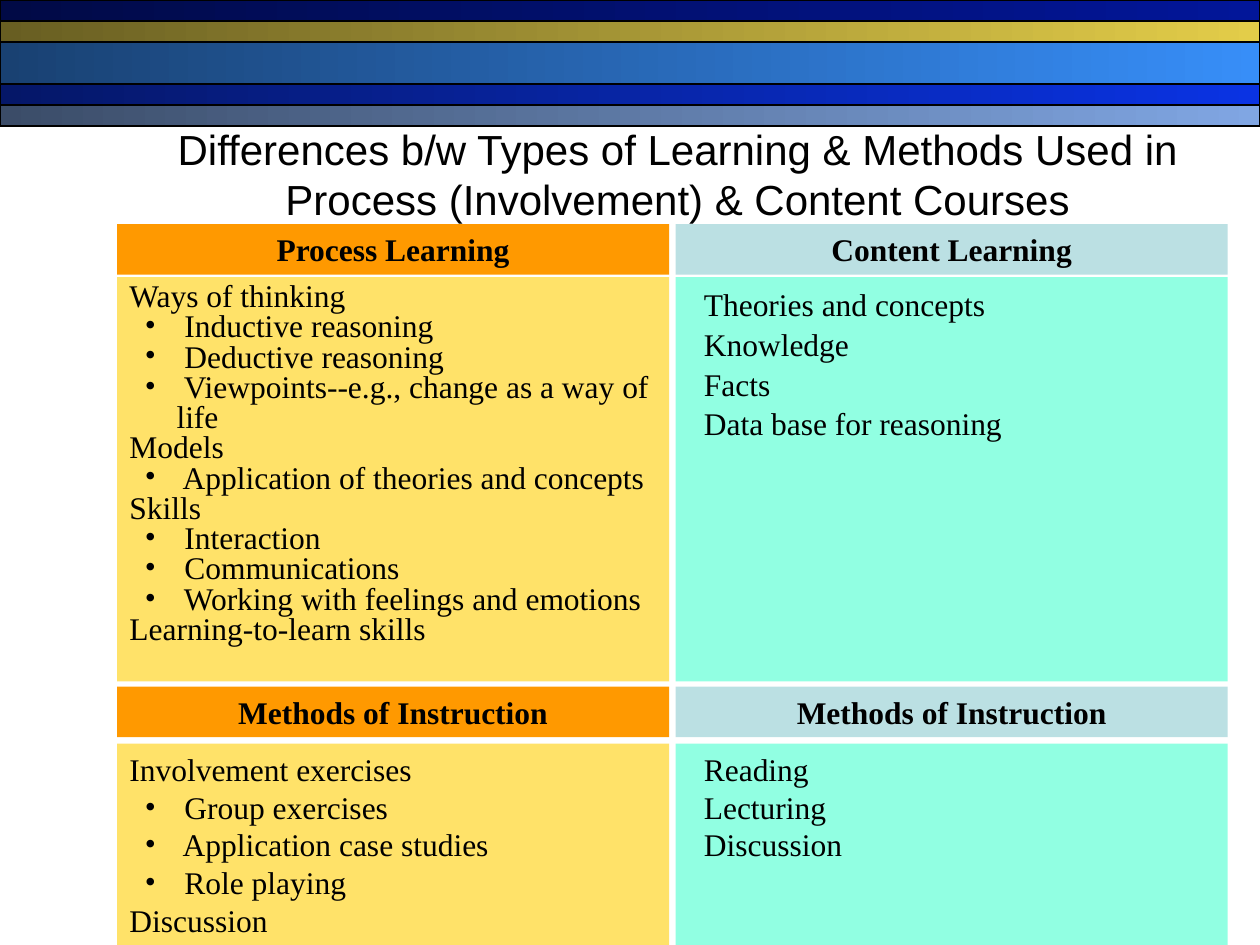
from lxml.etree import SubElement
from pptx import Presentation
from pptx.dml.color import RGBColor
from pptx.enum.shapes import MSO_SHAPE
from pptx.enum.text import MSO_ANCHOR, PP_ALIGN
from pptx.oxml.ns import qn
from pptx.util import Cm, Pt

# Content
TITLE = ("Differences b/w Types of Learning & Methods Used in "
         "Process (Involvement) & Content Courses")
# Bands: start colour, end colour, height in units
BANDS = [("010A46", "021699", 1), ("685E22", "E3CD49", 1),
         ("194172", "378EF8", 2), ("051768", "0A33E3", 1),
         ("3B4C68", "80A6E3", 1)]
# Outlines: (heading, points below it)
WAYS = [("Ways of thinking", ["Inductive reasoning", "Deductive reasoning",
                              "Viewpoints--e.g., change as a way of life"]),
        ("Models", ["Application of theories and concepts"]),
        ("Skills", ["Interaction", "Communications",
                    "Working with feelings and emotions"]),
        ("Learning-to-learn skills", [])]
DRILLS = [("Involvement exercises", ["Group exercises",
                                     "Application case studies",
                                     "Role playing"]),
          ("Discussion", [])]
FACTS = ["Theories and concepts", "Knowledge", "Facts",
         "Data base for reasoning"]
TALKS = ["Reading", "Lecturing", "Discussion"]
# Rows: heads, head top, body top, body height, outline, list, line spacings
ROWS = [(("Process Learning", "Content Learning"),
         4.52, 5.59, 8.15, WAYS, FACTS, 0.8, 1.05),
        (("Methods of Instruction", "Methods of Instruction"),
         13.84, 14.99, 4.06, DRILLS, TALKS, 1.0, 1.0)]
# Columns: left, head fill, body fill
COLS = [(2.36, "FF9900", "FFE269"), (13.62, "BBE0E3", "91FFE2")]
WIDE, HEAD, UNIT = 11.13, 1.02, 2.54 / 6
SERIF = "Times New Roman"

deck = Presentation()
deck.slide_width, deck.slide_height = Cm(25.4), Cm(19.05)
slide = deck.slides.add_slide(deck.slide_layouts[6])


def tint(code):
    return RGBColor.from_string(code)


def rect(x, y, w, h, fill=None):
    box = slide.shapes.add_shape(MSO_SHAPE.RECTANGLE,
                                 Cm(x), Cm(y), Cm(w), Cm(h))
    box.shadow.inherit = False
    if fill:
        box.fill.solid()
        box.fill.fore_color.rgb = tint(fill)
        box.line.fill.background()
    frame = box.text_frame
    frame.word_wrap = True
    frame.vertical_anchor = MSO_ANCHOR.TOP
    return box


def write(para, text, size=18, font=SERIF, bold=False):
    run = para.add_run()
    run.text = text
    run.font.size, run.font.name, run.font.bold = Pt(size), font, bold
    run.font.color.rgb = tint("000000")


def indent(para, left, first):
    props = para._p.get_or_add_pPr()
    props.set("marL", str(Cm(left)))
    props.set("indent", str(Cm(first)))
    return props


def outline(frame, groups, space):
    lines = [(deep, text) for top, subs in groups
             for deep, text in [(0, top)] + [(1, sub) for sub in subs]]
    for num, (deep, text) in enumerate(lines):
        para = frame.add_paragraph() if num else frame.paragraphs[0]
        para.alignment = PP_ALIGN.LEFT
        para.level = deep
        para.line_spacing = space
        props = indent(para, 0.95 if deep else 0.64, -0.64)
        if deep:
            SubElement(props, qn("a:buFont")).set("typeface", SERIF)
            SubElement(props, qn("a:buChar")).set("char", "•")
        write(para, " " + text if deep else text)


def listing(frame, lines, space):
    para = frame.paragraphs[0]
    para.alignment = PP_ALIGN.LEFT
    para.line_spacing = space
    indent(para, 0.32, 0)
    for num, text in enumerate(lines):
        if num:
            para.add_line_break()
        write(para, text)


# Bands across the top
top = 0
for start, end, units in BANDS:
    band = rect(0, top, 25.4, units * UNIT)
    band.fill.gradient()
    band.fill.gradient_angle = 0
    for stop, code, place in zip(band.fill.gradient_stops,
                                 (start, end), (0, 1)):
        stop.color.rgb = tint(code)
        stop.position = place
    band.line.color.rgb = tint("000000")
    band.line.width = Pt(0.75)
    top += units * UNIT

# Title
box = slide.shapes.add_textbox(Cm(3.18), Cm(1.91), Cm(20.96), Cm(3.18))
box.text_frame.word_wrap = True
box.text_frame.vertical_anchor = MSO_ANCHOR.MIDDLE
para = box.text_frame.paragraphs[0]
para.alignment = PP_ALIGN.CENTER
write(para, TITLE, 24, "Arial")

# Heads and bodies of both columns
for heads, y, low, tall, tree, flat, tight, loose in ROWS:
    for (x, dark, light), text in zip(COLS, heads):
        para = rect(x, y, WIDE, HEAD, dark).text_frame.paragraphs[0]
        para.alignment = PP_ALIGN.CENTER
        write(para, text, bold=True)
    left, right = [rect(x, low, WIDE, tall, light).text_frame
                   for x, dark, light in COLS]
    outline(left, tree, tight)
    listing(right, flat, loose)

deck.save("out.pptx")
